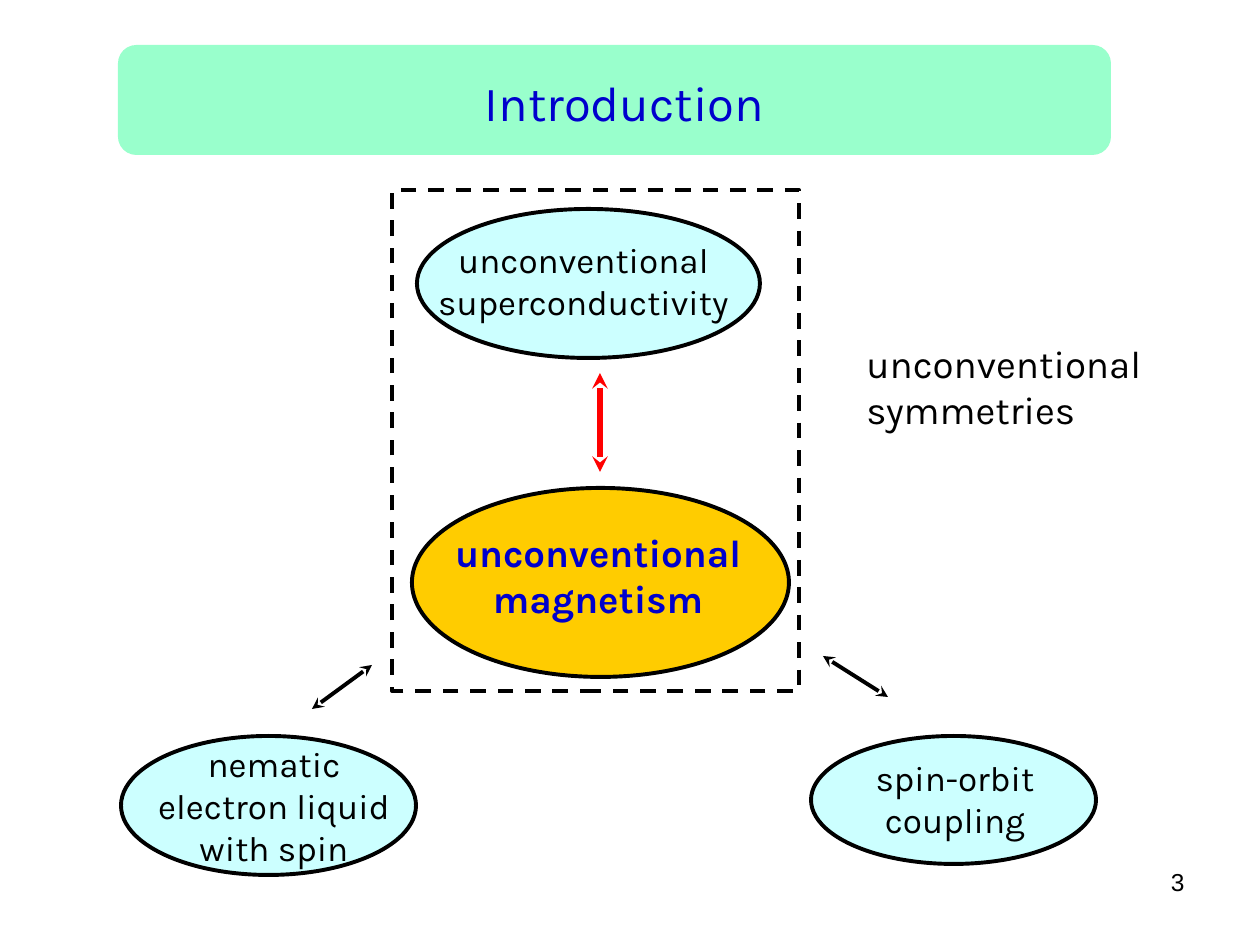
"""Build the Introduction slide: a map of unconventional magnetism and its relatives."""
from lxml import etree
from pptx import Presentation
from pptx import util as u
from pptx.dml.color import RGBColor
from pptx.enum import dml, shapes, text
from pptx.oxml.ns import qn

SCALE = u.Inches(1) / 126
BLACK, BLUE, RED = "000000", "0000CC", "FF0000"
AQUA, GOLD, MINT = "CCFFFF", "FFCC00", "99FFCC"
LEFT, CENTER, RIGHT = text.PP_ALIGN.LEFT, text.PP_ALIGN.CENTER, text.PP_ALIGN.RIGHT

BANNER = (118, 45, 993, 110)
TITLE = ("Introduction", (179, 66, 891, 72))
FRAME = (392, 190, 407, 501)
TOPICS = [
    ("spin-orbit coupling", (811, 736, 285, 128), (850, 750, 210, 97), AQUA, 20, BLACK, False),
    ("unconventional magnetism", (412, 488, 377, 189), (407, 523, 382, 105), GOLD, 22, BLUE, True),
    ("unconventional superconductivity", (417, 209, 343, 149), (407, 232, 353, 97), AQUA, 20, BLACK, False),
    ("nematic electron liquid with spin", (121, 736, 295, 139), (145, 736, 258, 140), AQUA, 20, BLACK, False),
]
ARROWS = [
    ((823, 656, 888, 697), BLACK, 2.25),
    ((312, 709, 372, 665), BLACK, 2.25),
    ((600, 472, 600, 373), RED, 3),
]
NOTES = [
    ("unconventional symmetries", (854, 334, 307, 106), 22, "Karla", LEFT),
    ("3", (903, 861, 294, 66), 14, "Arial", RIGHT),
]


def px(values):
    return [u.Emu(round(value * SCALE)) for value in values]


def color(value):
    return RGBColor.from_string(value)


def write(box, words, size, ink=BLACK, bold=False, font="Karla", align=CENTER):
    frame = box.text_frame
    frame.word_wrap = True
    frame.auto_size = text.MSO_AUTO_SIZE.NONE
    frame.vertical_anchor = text.MSO_ANCHOR.TOP
    para = frame.paragraphs[0]
    para.alignment = align
    span = para.add_run()
    span.text = words
    span.font.name, span.font.size, span.font.bold = font, u.Pt(size), bold
    span.font.color.rgb = color(ink)


def add_shape(page, kind, place, fill=None, line=None):
    shape = page.shapes.add_shape(kind, *px(place))
    shape.shadow.inherit = False
    if fill:
        shape.fill.solid()
        shape.fill.fore_color.rgb = color(fill)
    else:
        shape.fill.background()
    if line:
        shape.line.color.rgb = color(line)
        shape.line.width = u.Pt(2.25)
    else:
        shape.line.fill.background()
    return shape


def add_arrow(page, ends, ink, width):
    arrow = page.shapes.add_connector(shapes.MSO_CONNECTOR.STRAIGHT, *px(ends))
    arrow.line.color.rgb = color(ink)
    arrow.line.width = u.Pt(width)
    properties = arrow.element.spPr
    outline = properties.find(qn("a:ln"))
    for end in ("a:headEnd", "a:tailEnd"):
        etree.SubElement(outline, qn(end), type="stealth")
    etree.SubElement(properties, qn("a:effectLst"))


def main():
    deck = Presentation()
    deck.slide_width, deck.slide_height = u.Inches(10), u.Inches(7.5)
    page = deck.slides.add_slide(deck.slide_layouts[5])

    title = page.shapes.title
    words, place = TITLE
    title.left, title.top, title.width, title.height = px(place)
    write(title, words, 28, BLUE)
    banner = add_shape(page, shapes.MSO_SHAPE.ROUNDED_RECTANGLE, BANNER, MINT)
    title.element.addprevious(banner.element)

    for words, oval, place, fill, size, ink, bold in TOPICS:
        add_shape(page, shapes.MSO_SHAPE.OVAL, oval, fill, BLACK)
        write(page.shapes.add_textbox(*px(place)), words, size, ink, bold)
    for arrow in ARROWS:
        add_arrow(page, *arrow)
    frame = add_shape(page, shapes.MSO_SHAPE.RECTANGLE, FRAME, line=BLACK)
    frame.line.dash_style = dml.MSO_LINE.DASH
    for words, place, size, font, align in NOTES:
        write(page.shapes.add_textbox(*px(place)), words, size, font=font, align=align)

    deck.save("out.pptx")


if __name__ == "__main__":
    main()
